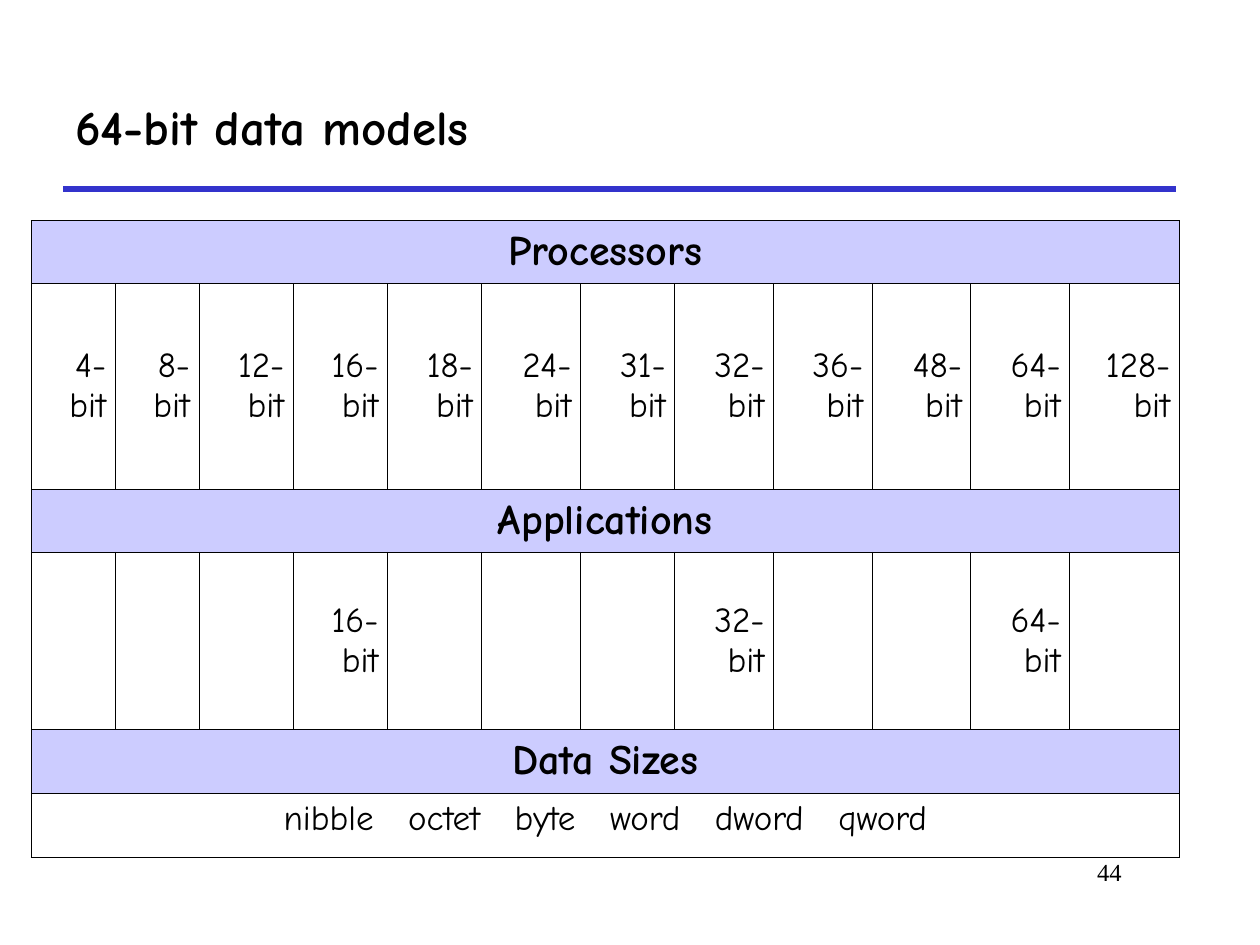
from lxml import etree
from pptx import Presentation
from pptx.dml.color import RGBColor
from pptx.enum.shapes import MSO_CONNECTOR
from pptx.enum.text import MSO_ANCHOR, PP_ALIGN
from pptx.oxml.ns import qn
from pptx.util import Cm, Pt

LEFT, CENTER, RIGHT = PP_ALIGN.LEFT, PP_ALIGN.CENTER, PP_ALIGN.RIGHT
TOP, MIDDLE = MSO_ANCHOR.TOP, MSO_ANCHOR.MIDDLE
BLACK = RGBColor(0x00, 0x00, 0x00)
BLUE = RGBColor(0x33, 0x33, 0xCC)
LAVENDER = RGBColor(0xCC, 0xCC, 0xFF)
BODY_FONT = "Comic Neue"
NUMBER_FONT = "Times New Roman"

PROCESSORS = ["4-bit", "8-bit", "12-bit", "16-bit", "18-bit", "24-bit",
              "31-bit", "32-bit", "36-bit", "48-bit", "64-bit", "128-bit"]
APPLICATIONS = {"16-bit", "32-bit", "64-bit"}
DATA_SIZES = ["nibble", "octet", "byte", "word", "dword", "qword"]
COL_WIDTHS = [1.69] * 2 + [1.9] * 3 + [1.99, 1.9] + [1.99] * 4 + [2.21]
ROW_HEIGHTS = [1.22, 4.14, 1.22, 3.58, 1.22, 1.31]


def add_run(p, text, size, align=LEFT, bold=False, font=BODY_FONT):
    p.alignment = align
    r = p.add_run()
    r.text = text
    style = {"name": font, "size": Pt(size), "bold": bold}
    for name, value in style.items():
        setattr(r.font, name, value)
    r.font.color.rgb = BLACK
    return r


def add_borders(cell):
    """Draw a thin black line on all four sides of the cell."""
    tc_pr = cell._tc.get_or_add_tcPr()
    for side in ("lnL", "lnR", "lnT", "lnB"):
        ln = etree.SubElement(tc_pr, qn(f"a:{side}"), w=str(Pt(0.45)))
        fill = etree.SubElement(ln, qn("a:solidFill"))
        etree.SubElement(fill, qn("a:srgbClr"), val=str(BLACK))


prs = Presentation()
prs.slide_width, prs.slide_height = Cm(25.4), Cm(19.05)
s = prs.slides.add_slide(prs.slide_layouts[6])

# Rule under the title
rule = s.shapes.add_connector(MSO_CONNECTOR.STRAIGHT,
                              Cm(1.27), Cm(3.81), Cm(23.7), Cm(3.81))
rule.line.color.rgb = BLUE
rule.line.width = Pt(3)
etree.SubElement(rule._element.spPr, qn("a:effectLst"))

# Title and slide number
texts = [
    ("64-bit data models", (1.27, 1.27, 22.43, 2.54), MIDDLE, 28, LEFT, True, BODY_FONT),
    ("44", (19.25, 17.15, 3.61, 1.27), TOP, 14, RIGHT, False, NUMBER_FONT),
]
for text, box, anchor, size, align, bold, font in texts:
    tf = s.shapes.add_textbox(*map(Cm, box)).text_frame
    tf.word_wrap = True
    tf.vertical_anchor = anchor
    add_run(tf.paragraphs[0], text, size, align, bold, font)

# Table grid
table = s.shapes.add_table(
    len(ROW_HEIGHTS), len(COL_WIDTHS), Cm(0.63), Cm(4.45),
    Cm(sum(COL_WIDTHS)), Cm(sum(ROW_HEIGHTS))).table
table.first_row = table.horz_banding = False
for col, width in zip(table.columns, COL_WIDTHS):
    col.width = Cm(width)
for row, height in zip(table.rows, ROW_HEIGHTS):
    row.height = Cm(height)
for cell in table.iter_cells():
    add_borders(cell)
    cell.fill.background()
    cell.margin_left = cell.margin_right = Cm(0.18)
    cell.vertical_anchor = MIDDLE

# Full-width rows
last_col = len(COL_WIDTHS) - 1
for row in (0, 2, 4, 5):
    table.cell(row, 0).merge(table.cell(row, last_col))

for row, heading in zip((0, 2, 4), ("Processors", "Applications", "Data Sizes")):
    cell = table.cell(row, 0)
    cell.fill.solid()
    cell.fill.fore_color.rgb = LAVENDER
    add_run(cell.text_frame.paragraphs[0], heading, 24, CENTER, bold=True)

# Word lengths
for col, bits in enumerate(PROCESSORS):
    add_run(table.cell(1, col).text_frame.paragraphs[0], bits, 20, RIGHT)
    if bits in APPLICATIONS:
        add_run(table.cell(3, col).text_frame.paragraphs[0], bits, 20, RIGHT)

# Data sizes, set apart by widened spaces
cell = table.cell(5, 0)
cell.vertical_anchor = TOP
p = cell.text_frame.paragraphs[0]
for i, name in enumerate(DATA_SIZES):
    if i:
        gap = add_run(p, " ", 20, CENTER)
        gap.font._element.set("spc", "1300")
    add_run(p, name, 20, CENTER)

prs.save("out.pptx")
